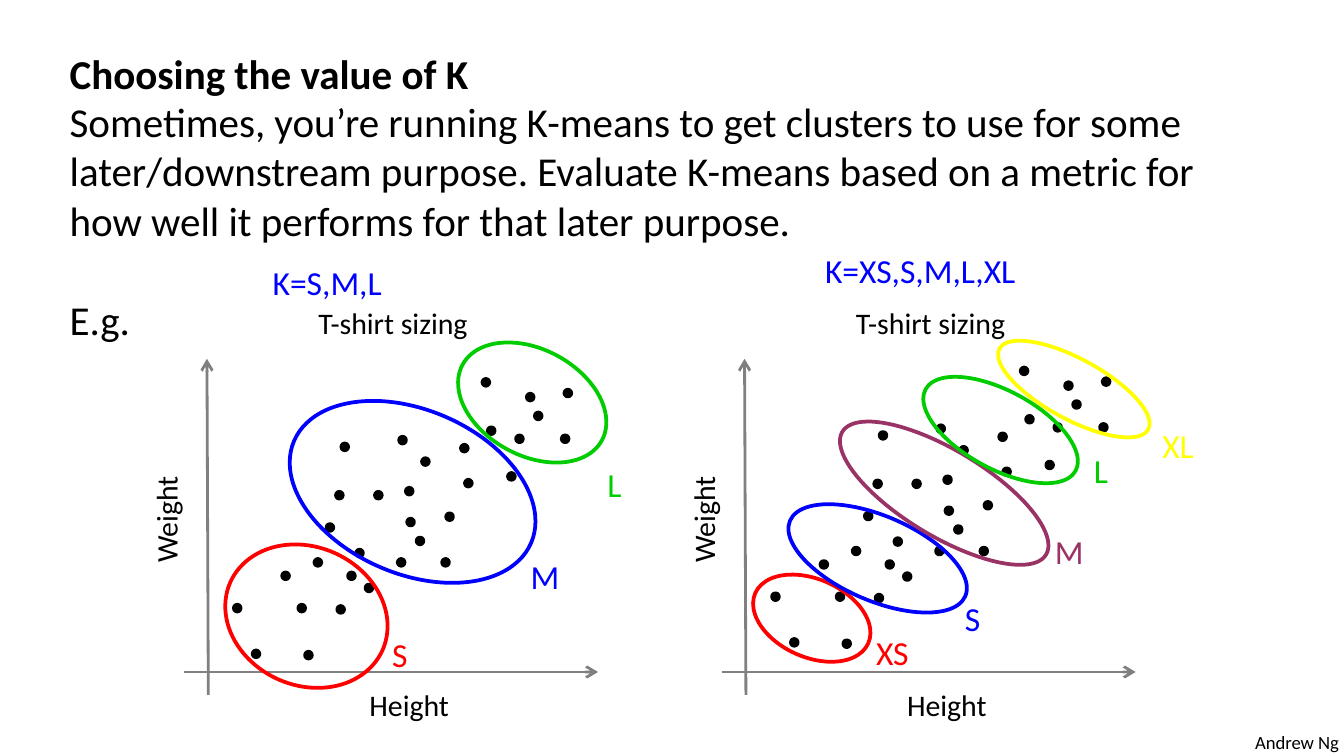
from lxml import etree
from pptx import Presentation
from pptx.dml.color import RGBColor
from pptx.enum.shapes import MSO_CONNECTOR, MSO_SHAPE
from pptx.enum.text import MSO_AUTO_SIZE, PP_ALIGN
from pptx.oxml.ns import qn
from pptx.util import Inches, Pt

OVAL, LINE = MSO_SHAPE.OVAL, MSO_CONNECTOR.STRAIGHT
LEFT, MID = PP_ALIGN.LEFT, PP_ALIGN.CENTER
GROW = MSO_AUTO_SIZE.SHAPE_TO_FIT_TEXT

# Grid: a 16:9 slide with 1000 columns of square cells
WIDE = Inches(10)
HIGH = WIDE * 9 // 16
CELL = WIDE / 1000

HUES = {"black": "000000", "grey": "808080", "red": "FF0000", "blue": "0000FF",
        "green": "00CC00", "plum": "993366", "yellow": "FFFF00"}
FONTS = {
    "title": {"size": Pt(22), "bold": True},
    "body": {"size": Pt(22)},
    "label": {"size": Pt(18)},
    "axis": {"size": Pt(16)},
    "foot": {"size": Pt(10)},
}

# Content: boxes are column, row, width, height in cells
TITLE = "Choosing the value of K"
BODY = ["Sometimes, you’re running K-means to get clusters to use for some "
        "later/downstream purpose. Evaluate K-means based on a metric for "
        "how well it performs for that later purpose.", "E.g."]
FOOT = "Andrew Ng"

AXES = [((155, 517), (154, 267)), ((137, 500), (445, 500))]
NAMES = [("T-shirt sizing", (126, 222, 333, 42), 0),
         ("Height", (239, 506, 131, 42), 0),
         ("Weight", (45, 365, 163, 43), 270)]
DOT = 5
DOTS = [(222, 450), (332, 382), (243, 390), (329, 416), (234, 416), (310, 400),
        (346, 357), (314, 341), (363, 318), (279, 366), (251, 451), (265, 409),
        (259, 426), (188, 484), (227, 485), (210, 426), (272, 435), (174, 450),
        (250, 366), (303, 386), (297, 325), (302, 363), (254, 330), (296, 416),
        (359, 282), (343, 331), (378, 352), (420, 290), (418, 324), (398, 307),
        (392, 293), (384, 324)]

# Each plot: axis shift, dot shift, heading, and its clusters
# (label, colour, label box, ring box, ring angle)
PLOTS = [
    {"shift": 0, "move": (0, 0), "head": ("K=S,M,L", (193, 190, 192, 40)),
     "sets": [
         ("S", "red", (282, 467, 32, 40), (166, 407, 124, 103), 24),
         ("M", "blue", (385, 409, 42, 40), (211, 305, 192, 122), 23.3),
         ("L", "green", (442, 340, 31, 40), (337, 260, 118, 79), 28.5)]},
    {"shift": 400, "move": (400.5, -8.5), "head": ("K=XS,S,M,L,XL", (604, 181, 192, 40)),
     "sets": [
         ("XS", "red", (642, 465, 45, 40), (558, 431, 92, 58), 24),
         ("S", "blue", (708, 440, 32, 40), (582, 384, 142, 63), 23.3),
         ("XL", "yellow", (855, 311, 44, 40), (736, 267, 126, 45), 28.5),
         ("M", "plum", (775, 390, 42, 40), (614, 335, 177, 64), 31.1),
         ("L", "green", (804, 330, 31, 40), (681, 291, 127, 58), 28.5)]},
]

deck = Presentation()
deck.slide_width, deck.slide_height = WIDE, HIGH
slide = deck.slides.add_slide(deck.slide_layouts[6])
shapes = slide.shapes


def cells(nums):
    return [round(n * CELL) for n in nums]


def hue(name):
    return RGBColor.from_string(HUES[name])


def text(lines, box, style, tint="black", align=LEFT, wrap=True, turn=0, gap=0):
    item = shapes.add_textbox(*cells(box))
    item.rotation = turn
    frame = item.text_frame
    frame.word_wrap, frame.auto_size = wrap, GROW
    for i, line in enumerate(lines):
        para = frame.add_paragraph() if i else frame.paragraphs[0]
        para.alignment = align
        if i and gap:
            para.space_before = Pt(gap)
        run = para.add_run()
        run.text = line
        for key, val in {"name": "Calibri", **FONTS[style]}.items():
            setattr(run.font, key, val)
        run.font.color.rgb = hue(tint)


def oval(box, tint, fill=False, turn=0):
    item = shapes.add_shape(OVAL, *cells(box))
    item.shadow.inherit = False
    item.rotation = turn
    if fill:
        item.fill.solid()
        item.fill.fore_color.rgb = hue(tint)
    else:
        item.fill.background()
    item.line.color.rgb = hue(tint)
    item.line.width = Pt(2)


def arrow(start, end):
    item = shapes.add_connector(LINE, *cells(start + end))
    item.line.color.rgb = hue("grey")
    item.line.width = Pt(1.5)
    props = item.element.spPr
    etree.SubElement(props.find(qn("a:ln")), qn("a:tailEnd"), type="arrow")
    etree.SubElement(props, qn("a:effectLst"))


# Wording
text([FOOT], (924, 539, 84, 27), "foot", wrap=False)
text([TITLE], (42, 31, 908, 47), "title")
text(BODY, (42, 67, 908, 195), "body", gap=26.8)

# Plots
for plot in PLOTS:
    shift = plot["shift"]
    for (x1, y1), (x2, y2) in AXES:
        arrow((x1 + shift, y1), (x2 + shift, y2))
    for name, (x, *rest), turn in NAMES:
        text([name], (x + shift, *rest), "axis", align=MID, turn=turn)
    dx, dy = plot["move"]
    for x, y in DOTS:
        oval((x + dx, y + dy, DOT, DOT), "black", fill=True)
    for _, tint, _, ring, turn in plot["sets"]:
        oval(ring, tint, turn=turn)
    for label, tint, box, _, _ in plot["sets"]:
        text([label], box, "label", tint, wrap=False)
    head, box = plot["head"]
    text([head], box, "label", "blue")

deck.save("out.pptx")
